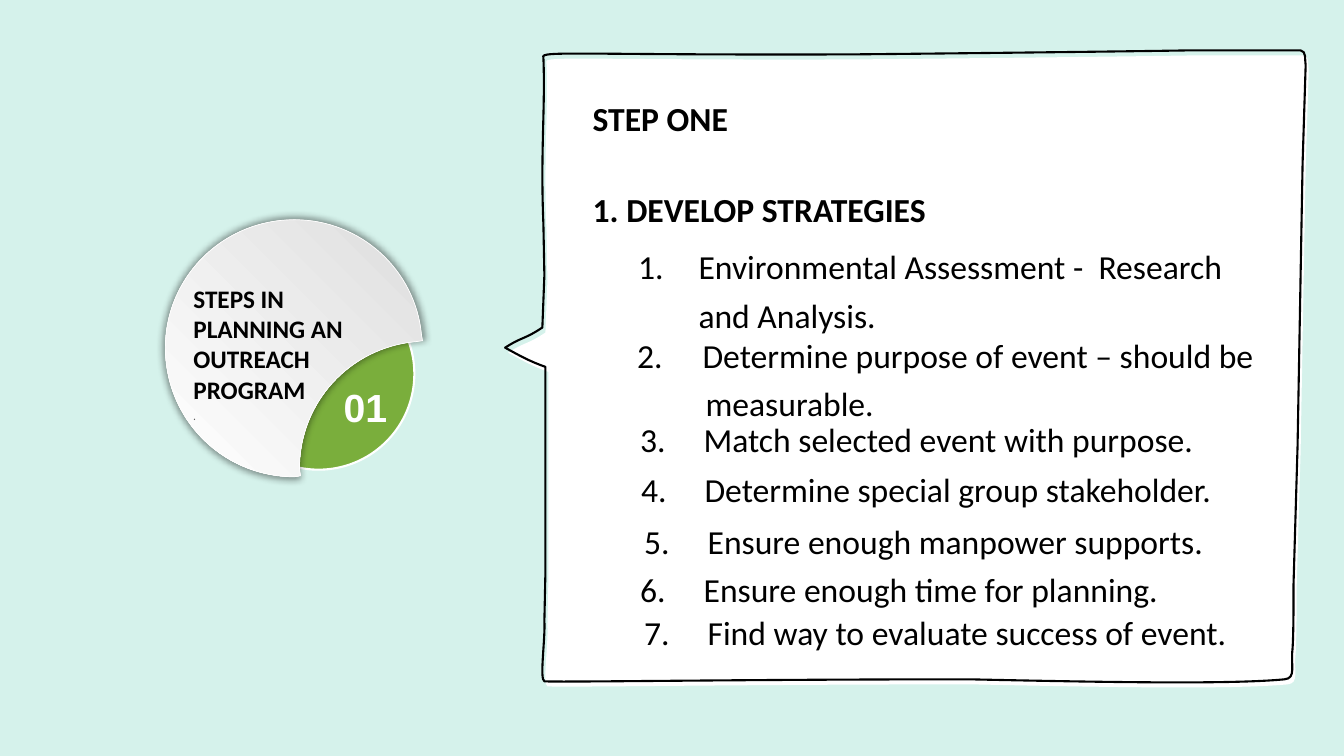
import pptx
import pptx.dml.color
import pptx.enum.shapes
import pptx.enum.text
import pptx.oxml
import pptx.oxml.ns
import pptx.util

COLUMNS, ROWS = 13.33, 7.5
CELL = pptx.util.Inches(1)

COLORS = {
    "mint": "D5F2EB",
    "white": "FFFFFF",
    "black": "000000",
    "green": "7AAE3C",
    "silver": "DEDEDE",
    "gray": "595959",
}

BODY = {"name": "Calibri", "size": pptx.util.Pt(24), "bold": False}
HEADING = {**BODY, "bold": True}
TITLE = {**HEADING, "size": pptx.util.Pt(18)}
DOT = {"name": "Comic Neue", "size": pptx.util.Pt(12), "bold": False}
NUMBER = {"name": "Arial", "size": pptx.util.Pt(28), "bold": True}

BUBBLE = [
    (12.92, 1.62), (12.95, 0.65),
    (12.94, 0.59, 12.96, 0.51, 12.9, 0.5),
    (11.8, 0.5),
    (11.25, 0.51, 9.53, 0.53, 8.46, 0.54),
    (5.77, 0.55, 5.35, 0.5, 5.39, 0.57),
    (5.41, 1.07, 5.36, 1.5, 5.39, 2.22),
    (5.4, 2.73), (5.38, 3.25),
    (5.2, 3.37, 5.18, 3.34, 5.01, 3.45),
    (5.14, 3.52, 5.24, 3.58, 5.41, 3.64),
    (5.41, 3.69, 5.41, 5.02, 5.41, 5.21),
    (5.41, 5.68), (5.4, 6.16),
    (5.41, 6.34, 5.35, 6.74, 5.4, 6.76),
    (5.66, 6.77, 7.34, 6.74, 9.62, 6.74),
    (11, 6.77, 12.21, 6.79, 12.74, 6.74),
    (12.86, 6.73, 12.8, 6.6, 12.82, 6.44),
    (12.83, 6.29, 12.83, 6.01, 12.83, 5.79),
    (12.87, 4.43),
]

BADGE = [
    (2.92, 2.18),
    (3.58, 2.18, 4.12, 2.68, 4.18, 3.32),
    (4.19, 3.38), (4.12, 3.39),
    (3.47, 3.45, 2.97, 3.99, 2.97, 4.65),
    (2.98, 4.72), (2.92, 4.73),
    (2.21, 4.73, 1.64, 4.16, 1.64, 3.45),
    (1.64, 2.75, 2.21, 2.18, 2.92, 2.18),
]

HEADINGS = [
    ("STEP ONE", (5.78, 0.92, 1.78, 0.5)),
    ("1. DEVELOP STRATEGIES", (5.78, 1.83, 4.18, 0.5)),
]

STEPS = [
    (["Environmental Assessment -  Research", "and Analysis."], (6.23, 2.39, 7.04, 0.99), (0.6, 0.6)),
    (["Determine purpose of event – should be", "measurable."], (6.22, 3.27, 6.64, 0.99), (0.65, 0.68)),
    (["Match selected event with purpose."], (6.25, 4.11, 5.98, 0.5), (0.63,)),
    (["Determine special group stakeholder."], (6.26, 4.6, 6.14, 0.5), (0.63,)),
    (["Ensure enough manpower supports."], (6.29, 5.12, 6, 0.5), (0.63,)),
    (["Ensure enough time for planning."], (6.25, 5.59, 5.71, 0.5), (0.63,)),
    (["Find way to evaluate success of event."], (6.29, 6.02, 6.23, 0.5), (0.63,)),
]


def cells(*values):
    return [round(value * CELL) for value in values]


def rgb(name):
    return pptx.dml.color.RGBColor.from_string(COLORS[name])


def style_shape(shape, fill=None, line=None, weight=0):
    shape.shadow.inherit = False
    if fill:
        shape.fill.solid()
        shape.fill.fore_color.rgb = rgb(fill)
    else:
        shape.fill.background()
    if line:
        shape.line.color.rgb = rgb(line)
        shape.line.width = pptx.util.Pt(weight)
    else:
        shape.line.fill.background()


def add_outline(slide, segments, shift=(0, 0)):
    moved = [
        cells(*(value + shift[index % 2] for index, value in enumerate(segment)))
        for segment in segments
    ]
    builder = slide.shapes.build_freeform(*moved[0])
    builder.add_line_segments([segment[-2:] for segment in moved[1:]], close=True)
    shape = builder.convert_to_shape()
    corner = (shape.left, shape.top)
    lines = list(shape._element.iter(pptx.oxml.ns.qn("a:lnTo")))
    for line, segment in zip(lines, moved[1:]):
        if len(segment) == 6:
            local = [value - corner[index % 2] for index, value in enumerate(segment)]
            points = "".join(
                f'<a:pt x="{x}" y="{y}"/>' for x, y in zip(local[::2], local[1::2])
            )
            curve = pptx.oxml.parse_xml(
                f'<a:cubicBezTo {pptx.oxml.ns.nsdecls("a")}>{points}</a:cubicBezTo>'
            )
            line.getparent().replace(line, curve)
    return shape


def add_text(slide, box, lines, color="black", space_after=0):
    shape = slide.shapes.add_textbox(*cells(*box))
    frame = shape.text_frame
    frame.word_wrap = True
    frame.auto_size = pptx.enum.text.MSO_AUTO_SIZE.SHAPE_TO_FIT_TEXT
    for index, (text, font) in enumerate(lines):
        paragraph = frame.paragraphs[0] if index == 0 else frame.add_paragraph()
        paragraph.space_after = pptx.util.Pt(space_after)
        run = paragraph.add_run()
        run.text = text
        run.font.color.rgb = rgb(color)
        for attribute, value in font.items():
            setattr(run.font, attribute, value)
    return frame


def add_step(slide, number, lines, box, indents):
    frame = add_text(slide, box, [(line, BODY) for line in lines], space_after=6)
    for index, (paragraph, margin) in enumerate(zip(frame.paragraphs, cells(*indents))):
        properties = paragraph._p.get_or_add_pPr()
        properties.set("marL", str(margin))
        properties.set("indent", str(0 if index else -margin))
        if index == 0:
            properties.append(pptx.oxml.parse_xml(
                f'<a:buAutoNum {pptx.oxml.ns.nsdecls("a")} type="arabicPeriod" startAt="{number}"/>'
            ))


def add_bubble(slide):
    style_shape(add_outline(slide, BUBBLE, shift=(0.03, 0.05)), fill="white")
    style_shape(add_outline(slide, BUBBLE), line="black", weight=1.5)


def add_badge(slide):
    circle = slide.shapes.add_shape(
        pptx.enum.shapes.MSO_SHAPE.OVAL, *cells(2.21, 2.76, 1.9, 1.9)
    )
    style_shape(circle, fill="green", line="white", weight=1.5)
    disc = add_outline(slide, BADGE)
    style_shape(disc, line="white", weight=0.5)
    disc.fill.gradient()
    disc.fill.gradient_angle = 225
    for stop, position, color in zip(disc.fill.gradient_stops, (0, 1), ("silver", "white")):
        stop.position = position
        stop.color.rgb = rgb(color)
    effects = disc._element.spPr.find(pptx.oxml.ns.qn("a:effectLst"))
    effects.append(pptx.oxml.parse_xml(
        f'<a:outerShdw {pptx.oxml.ns.nsdecls("a")} blurRad="{pptx.util.Pt(5)}"'
        f' sx="102000" sy="102000" algn="ctr" rotWithShape="0">'
        f'<a:srgbClr val="{COLORS["black"]}"><a:alpha val="40000"/></a:srgbClr></a:outerShdw>'
    ))
    title = add_text(
        slide, (1.82, 2.76, 1.9, 1.51),
        [("STEPS IN PLANNING AN OUTREACH PROGRAM", TITLE), (".", DOT)],
    )
    title.paragraphs[1].runs[0].font.color.rgb = rgb("gray")
    number = add_text(slide, (3.27, 3.75, 0.71, 0.57), [("01", NUMBER)], color="white")
    number.margin_left = number.margin_right = cells(0.12)[0]
    number.paragraphs[0].alignment = pptx.enum.text.PP_ALIGN.CENTER


def main():
    presentation = pptx.Presentation()
    presentation.slide_width, presentation.slide_height = cells(COLUMNS, ROWS)
    slide = presentation.slides.add_slide(presentation.slide_layouts[6])
    backdrop = slide.shapes.add_shape(
        pptx.enum.shapes.MSO_SHAPE.RECTANGLE, *cells(0, 0, COLUMNS, ROWS)
    )
    style_shape(backdrop, fill="mint")
    slide.background.fill.solid()
    slide.background.fill.fore_color.rgb = rgb("mint")
    add_bubble(slide)
    for text, box in HEADINGS:
        add_text(slide, box, [(text, HEADING)], space_after=6)
    for number, (lines, box, indents) in enumerate(STEPS, start=1):
        add_step(slide, number, lines, box, indents)
    add_badge(slide)
    presentation.save("out.pptx")


if __name__ == "__main__":
    main()
